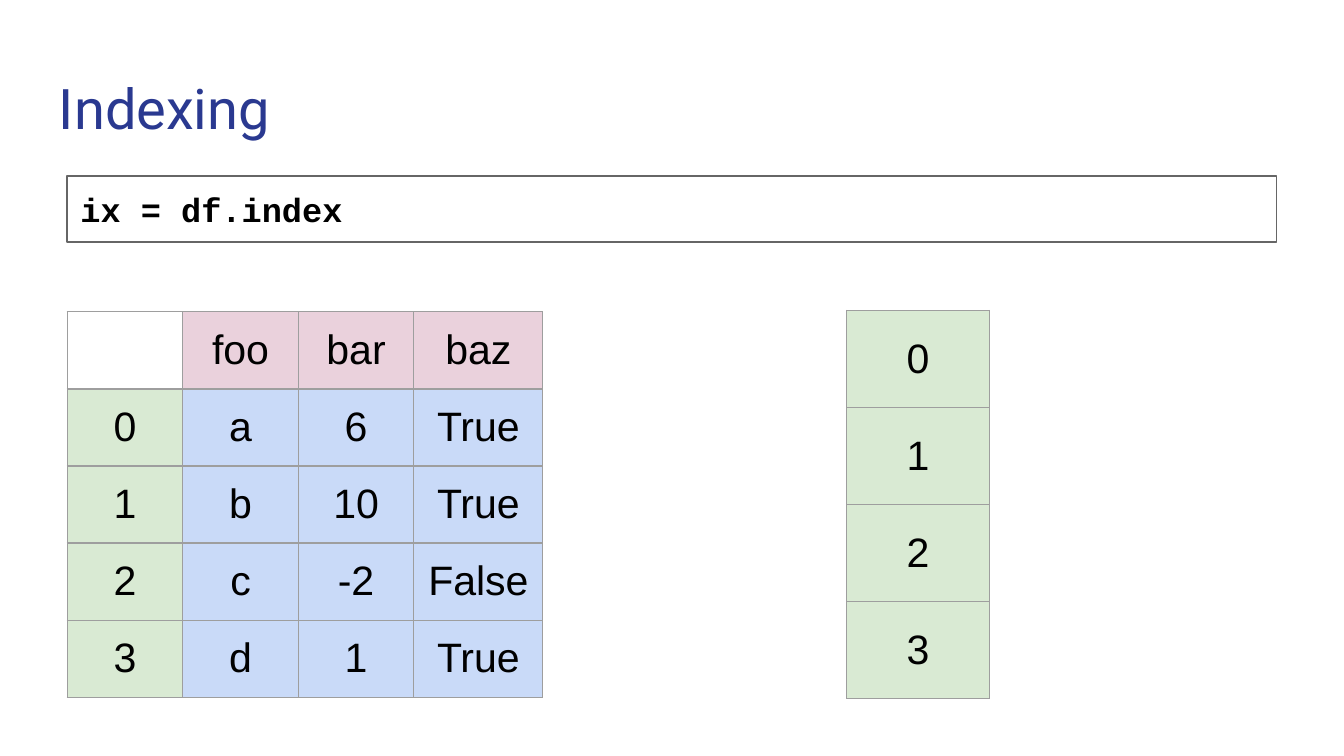
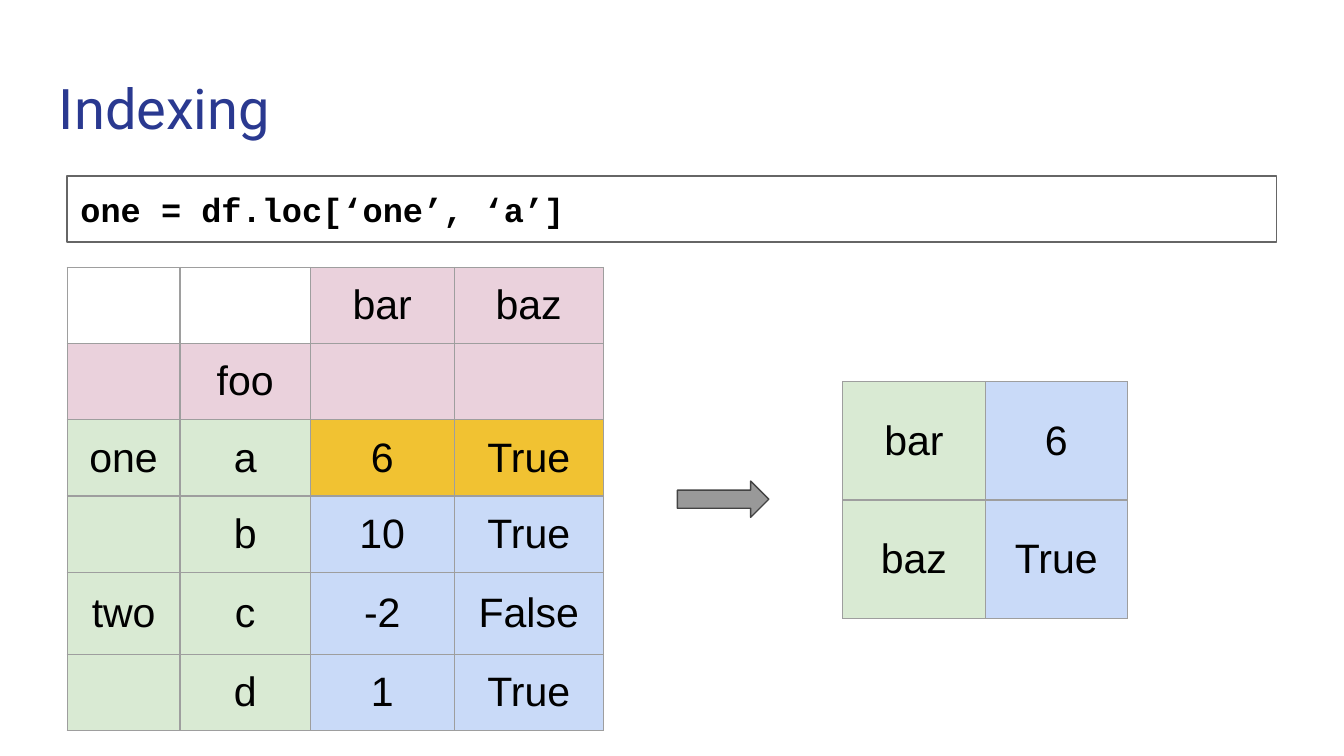
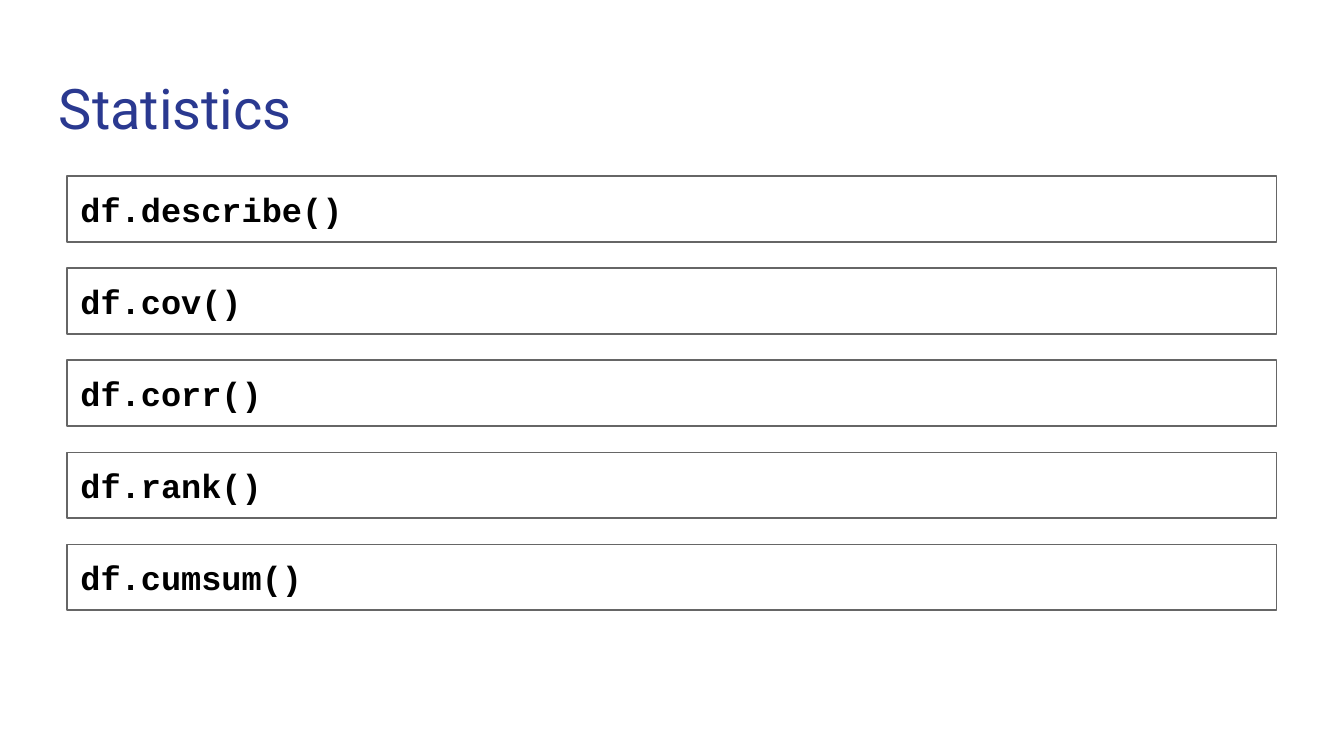
from lxml import etree
from pptx import Presentation
from pptx.dml.color import RGBColor
from pptx.enum.shapes import MSO_SHAPE
from pptx.enum.text import MSO_ANCHOR, PP_ALIGN
from pptx.oxml.ns import qn
from pptx.util import Inches, Pt

RECTANGLE, RIGHT_ARROW = MSO_SHAPE.RECTANGLE, MSO_SHAPE.RIGHT_ARROW
TOP, MIDDLE = MSO_ANCHOR.TOP, MSO_ANCHOR.MIDDLE
LEFT, CENTER = PP_ALIGN.LEFT, PP_ALIGN.CENTER

BLACK = "000000"
TITLE_BLUE = "2A3990"
CODE_LINE = "666666"
ARROW_FILL, ARROW_LINE = "999999", "434343"
GRID_LINE = "9E9E9E"
# One letter per cell: white, column label, index label, data, selected
CELL_FILLS = {"W": "FFFFFF", "C": "EAD1DC", "I": "D9EAD3", "D": "C9DAF8", "S": "F1C232"}

LINE_WIDTH = Pt(0.75)
TITLE_BOX = (0.34, 0.45, 9.32, 0.66)
CODE_BOX = (0.5, 1.31, 9, 0.49)
CODE_STEP = 0.685


def color(hex_text):
    return RGBColor.from_string(hex_text)


def inches(box):
    return [Inches(length) for length in box]


def write(frame, text, size, font, text_color=BLACK, bold=False, align=LEFT):
    paragraph = frame.paragraphs[0]
    paragraph.alignment = align
    paragraph.font.size = Pt(size)
    if text:
        run = paragraph.add_run()
        run.text = text
        run.font.name = font
        run.font.size = Pt(size)
        run.font.bold = bold
        run.font.color.rgb = color(text_color)


def set_margins(target):
    """Give a text frame or a table cell the shared inner margins."""
    target.margin_left = target.margin_right = Inches(0.1)
    target.margin_top = target.margin_bottom = Inches(0.1)


def add_outlined_shape(slide, kind, box, line, fill=None):
    shape = slide.shapes.add_shape(kind, *inches(box))
    shape.shadow.inherit = False
    shape.line.color.rgb = color(line)
    shape.line.width = LINE_WIDTH
    if fill:
        shape.fill.solid()
        shape.fill.fore_color.rgb = color(fill)
    else:
        shape.fill.background()
    return shape


def add_titled_slide(presentation, title):
    slide = presentation.slides.add_slide(presentation.slide_layouts[6])
    frame = slide.shapes.add_textbox(*inches(TITLE_BOX)).text_frame
    frame.word_wrap = True
    frame.vertical_anchor = TOP
    set_margins(frame)
    write(frame, title, 30, "Roboto", text_color=TITLE_BLUE)
    return slide


def add_code_boxes(slide, *statements):
    left, top, width, height = CODE_BOX
    for index, statement in enumerate(statements):
        box = (left, top + index * CODE_STEP, width, height)
        frame = add_outlined_shape(slide, RECTANGLE, box, CODE_LINE).text_frame
        frame.word_wrap = True
        frame.vertical_anchor = MIDDLE
        set_margins(frame)
        write(frame, statement, 18, "Courier New", bold=True)


def add_cell_borders(cell):
    properties = cell._tc.get_or_add_tcPr()
    for side in ("a:lnL", "a:lnR", "a:lnT", "a:lnB"):
        border = etree.SubElement(properties, qn(side), w=str(LINE_WIDTH))
        fill = etree.SubElement(border, qn("a:solidFill"))
        etree.SubElement(fill, qn("a:srgbClr"), val=GRID_LINE)


def add_frame_table(slide, left, top, widths, heights, rows, fills):
    """Draw a data frame; fills holds one string of CELL_FILLS letters per row."""
    box = (left, top, sum(widths), sum(heights))
    table = slide.shapes.add_table(len(rows), len(widths), *inches(box)).table
    table.first_row = table.horz_banding = False
    for column, width in zip(table.columns, widths):
        column.width = Inches(width)
    for row, height, texts, letters in zip(table.rows, heights, rows, fills):
        row.height = Inches(height)
        for cell, text, letter in zip(row.cells, texts, letters):
            set_margins(cell)
            cell.vertical_anchor = MIDDLE
            add_cell_borders(cell)
            cell.fill.solid()
            cell.fill.fore_color.rgb = color(CELL_FILLS[letter])
            write(cell.text_frame, text, 22, "Arial", align=CENTER)


def add_index_slide(presentation):
    slide = add_titled_slide(presentation, "Indexing")
    add_code_boxes(slide, "ix = df.index")
    rows = [
        ("", "foo", "bar", "baz"),
        ("0", "a", "6", "True"),
        ("1", "b", "10", "True"),
        ("2", "c", "-2", "False"),
        ("3", "d", "1", "True"),
    ]
    add_frame_table(slide, 0.5, 2.32, [0.86] * 3 + [0.96], [0.574] * 5,
                    rows, ["WCCC"] + ["IDDD"] * 4)
    add_frame_table(slide, 6.3, 2.31, [1.06], [0.7225] * 4,
                    [row[:1] for row in rows[1:]], "IIII")


def add_selection_slide(presentation):
    slide = add_titled_slide(presentation, "Indexing")
    add_code_boxes(slide, "one = df.loc[‘one’, ‘a’]")
    add_outlined_shape(slide, RIGHT_ARROW, (5.04, 3.58, 0.68, 0.27), ARROW_LINE, ARROW_FILL)
    rows = [
        ("", "", "bar", "baz"),
        ("", "foo", "", ""),
        ("one", "a", "6", "True"),
        ("", "b", "10", "True"),
        ("two", "c", "-2", "False"),
        ("", "d", "1", "True"),
    ]
    add_frame_table(slide, 0.5, 1.99, [0.84, 0.97, 1.07, 1.11], [0.567] * 4 + [0.61, 0.567],
                    rows, ["WWCC", "CCCC", "IISS"] + ["IIDD"] * 3)
    add_frame_table(slide, 6.27, 2.84, [1.06] * 2, [0.88] * 2,
                    [("bar", "6"), ("baz", "True")], ["ID"] * 2)


def add_statistics_slide(presentation):
    slide = add_titled_slide(presentation, "Statistics")
    add_code_boxes(slide, "df.describe()", "df.cov()", "df.corr()", "df.rank()", "df.cumsum()")


def main():
    presentation = Presentation()
    presentation.slide_width, presentation.slide_height = Inches(10), Inches(5.625)
    add_index_slide(presentation)
    add_selection_slide(presentation)
    add_statistics_slide(presentation)
    presentation.save("out.pptx")


if __name__ == "__main__":
    main()
